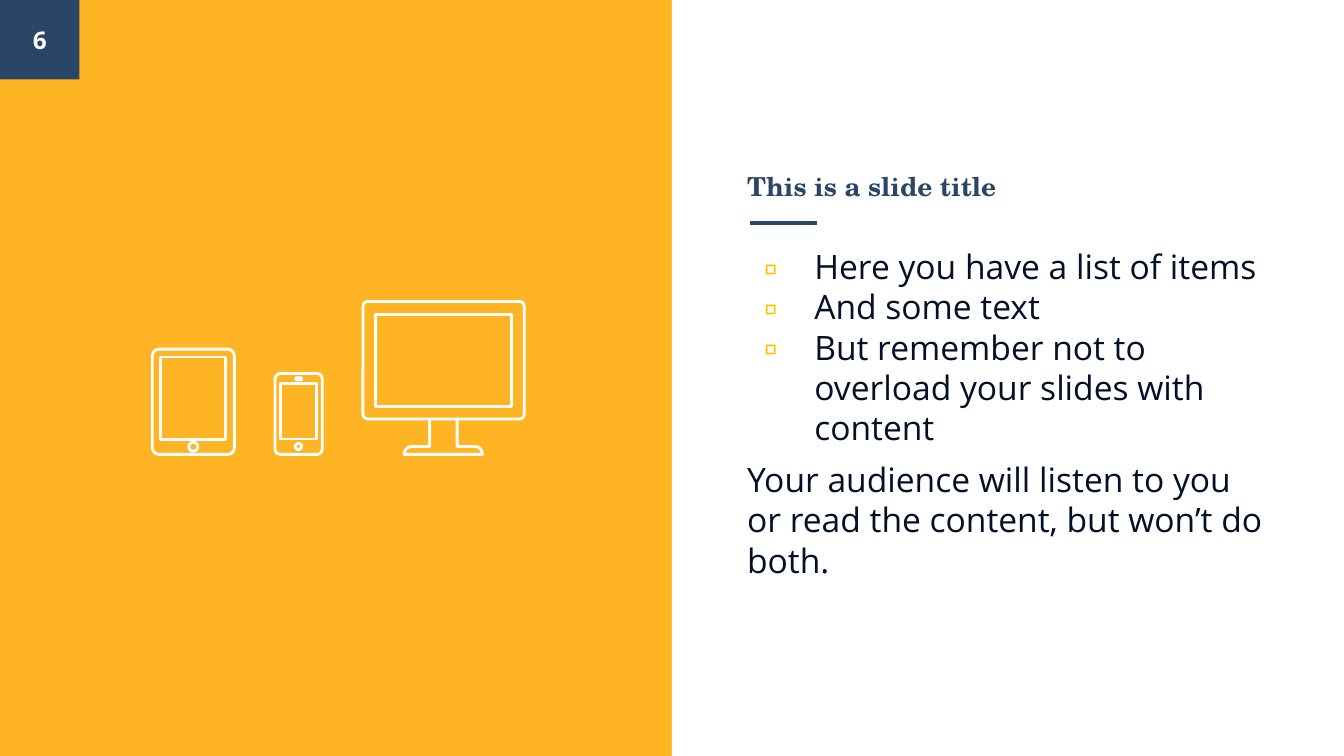
"""Build a slide with device icons on the left and a title with a list on the right."""
import math

import lxml.etree
import pptx
import pptx.dml.color
import pptx.enum.shapes
import pptx.enum.text
import pptx.oxml.ns
import pptx.util

Cm, Pt = pptx.util.Cm, pptx.util.Pt
SHAPE = pptx.enum.shapes.MSO_SHAPE
ANCHOR = pptx.enum.text.MSO_ANCHOR
ALIGN = pptx.enum.text.PP_ALIGN
qn = pptx.oxml.ns.qn

COLORS = {"panel": "FFA800", "navy": "294667", "ink": "021028", "bullet": "FFC200", "white": "FFFFFF"}
TITLE = "This is a slide title"
ITEMS = [
    "Here you have a list of items",
    "And some text",
    "But remember not to overload your slides with content",
]
CLOSING = "Your audience will listen to you or read the content, but won’t do both."
PAGE_NUMBER = "6"

WIDTH, HEIGHT = 25.4, 14.29
BADGE = 1.5
TEXT_LEFT, TEXT_WIDTH = 13.87, 10.26
ICON_BASE = 8.59
DEVICES = {
    "tablet": [
        (SHAPE.ROUNDED_RECTANGLE, 2.88, 6.6, 1.55, 1.99, 0.08),
        (SHAPE.RECTANGLE, 3.03, 6.75, 1.24, 1.56, None),
        (SHAPE.OVAL, 3.57, 8.36, 0.17, 0.17, None),
    ],
    "phone": [
        (SHAPE.ROUNDED_RECTANGLE, 5.2, 7.06, 0.89, 1.53, 0.11),
        (SHAPE.ROUNDED_RECTANGLE, 5.59, 7.14, 0.11, 0.04, 0.5),
        (SHAPE.RECTANGLE, 5.3, 7.25, 0.69, 1.05, None),
        (SHAPE.OVAL, 5.58, 8.38, 0.12, 0.12, None),
    ],
    "monitor": [
        (SHAPE.ROUNDED_RECTANGLE, 6.86, 5.7, 3.05, 2.22, 0.04),
        (SHAPE.RECTANGLE, 7.1, 5.95, 2.57, 1.73, None),
    ],
}
STAND = {"center": 8.38, "neck": 0.26, "foot": 0.74, "top": 7.92, "radius": 0.15}


def rgb(name):
    return pptx.dml.color.RGBColor.from_string(COLORS[name])


def style(shape, fill=None, line=None):
    shape.shadow.inherit = False
    if fill:
        shape.fill.solid()
        shape.fill.fore_color.rgb = rgb(fill)
    else:
        shape.fill.background()
    if line:
        shape.line.color.rgb = rgb(line)
        shape.line.width = Pt(1.5)
    else:
        shape.line.fill.background()
    return shape


def add_block(slide, kind, left, top, width, height, **look):
    return style(slide.shapes.add_shape(kind, Cm(left), Cm(top), Cm(width), Cm(height)), **look)


def place(holder, left, top, width, height, anchor):
    holder.left, holder.top, holder.width, holder.height = Cm(left), Cm(top), Cm(width), Cm(height)
    frame = holder.text_frame
    frame.word_wrap = True
    frame.auto_size = pptx.enum.text.MSO_AUTO_SIZE.NONE
    frame.vertical_anchor = anchor
    frame.margin_left = frame.margin_right = frame.margin_top = frame.margin_bottom = Cm(0.25)
    return frame


def write(paragraph, text, size=18, font="Open Sans", color="ink", bold=False,
          align=ALIGN.LEFT, before=0, spacing=1.0, bullet=None):
    run = paragraph.add_run()
    run.text = text
    run.font.size, run.font.name, run.font.bold = Pt(size), font, bold
    run.font.color.rgb = rgb(color)
    paragraph.alignment = align
    paragraph.space_before, paragraph.space_after = Pt(before), Pt(0)
    paragraph.line_spacing = spacing
    properties = paragraph._p.get_or_add_pPr()
    properties.set("marL", str(Cm(1.27) if bullet else 0))
    properties.set("indent", str(Cm(-0.95) if bullet else 0))
    if bullet:
        tint = lxml.etree.SubElement(properties, qn("a:buClr"))
        lxml.etree.SubElement(tint, qn("a:srgbClr"), val=COLORS["bullet"])
        lxml.etree.SubElement(properties, qn("a:buFont"), typeface=font)
        lxml.etree.SubElement(properties, qn("a:buChar"), char=bullet)
    else:
        lxml.etree.SubElement(properties, qn("a:buNone"))


def add_stand(slide):
    center, neck, foot, radius = (STAND[key] for key in ("center", "neck", "foot", "radius"))
    angles = [math.radians(15 * step) for step in range(7)]
    half = [(neck, STAND["top"]), (neck, ICON_BASE - radius)]
    half += [(foot - radius + radius * math.sin(a), ICON_BASE - radius * math.cos(a)) for a in angles]
    points = [(center - x, y) for x, y in half] + [(center + x, y) for x, y in reversed(half)]
    corners = [(Cm(x), Cm(y)) for x, y in points]
    outline = slide.shapes.build_freeform(*corners[0])
    outline.add_line_segments(corners[1:], close=False)
    style(outline.convert_to_shape(), line="white")


def main():
    deck = pptx.Presentation()
    deck.slide_width, deck.slide_height = Cm(WIDTH), Cm(HEIGHT)
    slide = deck.slides.add_slide(deck.slide_layouts[1])
    title, body = slide.placeholders

    panel = add_block(slide, SHAPE.RECTANGLE, 0, 0, WIDTH / 2, HEIGHT, fill="panel")
    tint = panel.fill._xPr.find(".//" + qn("a:srgbClr"))
    lxml.etree.SubElement(tint, qn("a:alpha"), val="86000")
    add_block(slide, SHAPE.RECTANGLE, WIDTH / 2, 0, WIDTH / 2, HEIGHT, fill="white")
    add_block(slide, SHAPE.RECTANGLE, 0, 0, BADGE, BADGE, fill="navy")

    rule = slide.shapes.add_connector(
        pptx.enum.shapes.MSO_CONNECTOR.STRAIGHT, Cm(14.17), Cm(4.21), Cm(15.44), Cm(4.21))
    rule.line.color.rgb = rgb("navy")
    rule.line.width = Pt(2.25)
    lxml.etree.SubElement(rule._element.spPr, qn("a:effectLst"))

    for holder in (title, body):
        slide.shapes._spTree.append(holder._element)
    heading = place(title, TEXT_LEFT, 1.93, TEXT_WIDTH, 2.13, ANCHOR.BOTTOM)
    write(heading.paragraphs[0], TITLE, size=14, font="TeX Gyre Schola", color="navy", bold=True)

    content = place(body, TEXT_LEFT, 4.4, TEXT_WIDTH, 9.27, ANCHOR.TOP)
    for index, item in enumerate(ITEMS):
        paragraph = content.add_paragraph() if index else content.paragraphs[0]
        write(paragraph, item, before=0 if index else 6, bullet="▫")
    write(content.add_paragraph(), CLOSING, before=6)

    for parts in DEVICES.values():
        for kind, left, top, width, height, rounding in parts:
            part = add_block(slide, kind, left, top, width, height, line="white")
            if rounding:
                part.adjustments[0] = rounding
    add_stand(slide)

    number = place(slide.shapes.add_textbox(0, 0, 0, 0), 0, 0, BADGE, BADGE, ANCHOR.MIDDLE)
    write(number.paragraphs[0], PAGE_NUMBER, size=13, color="white", bold=True, align=ALIGN.CENTER)
    deck.save("out.pptx")


if __name__ == "__main__":
    main()
